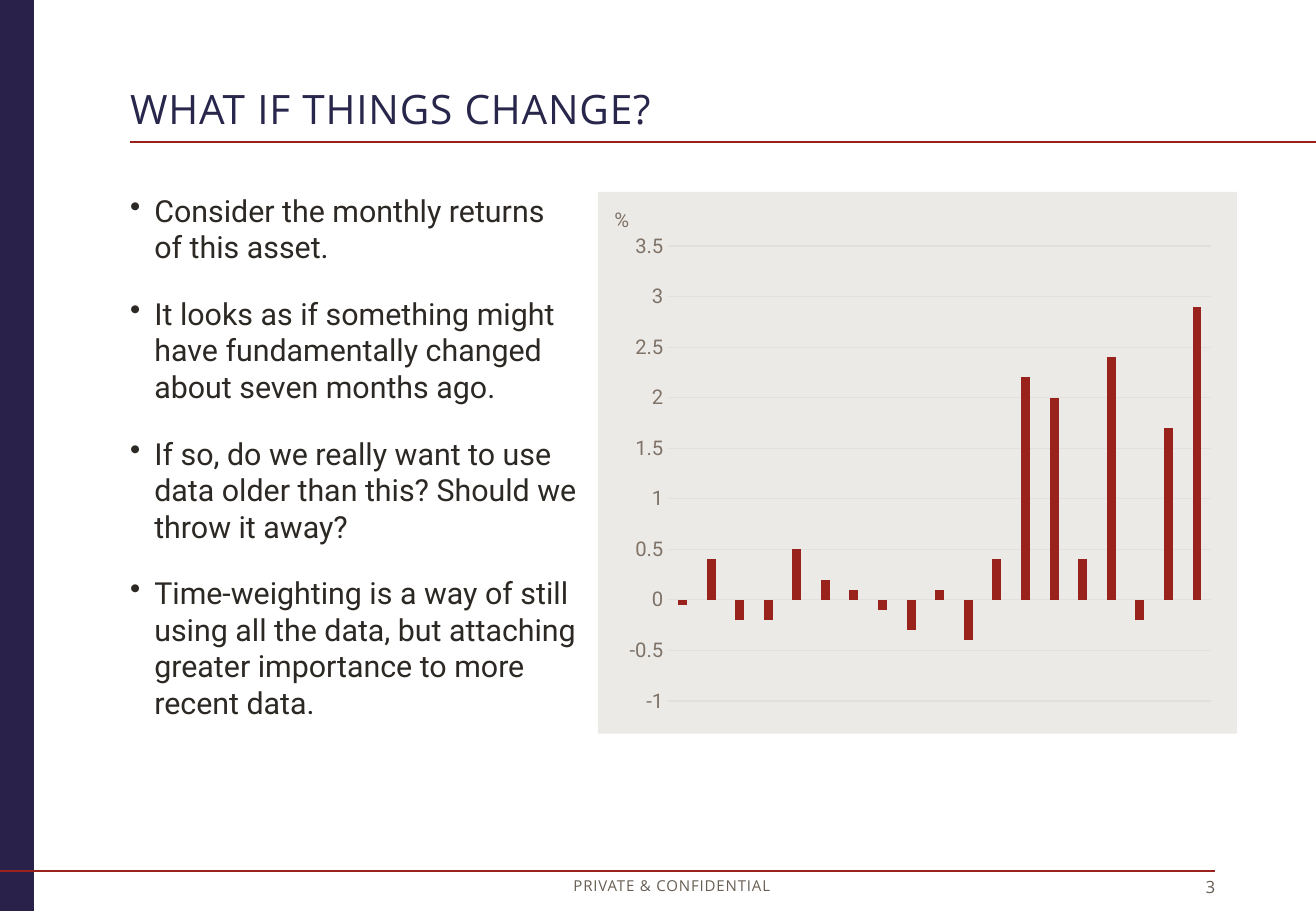
import pptx
import pptx.chart.data
import pptx.dml.color
import pptx.enum.chart
import pptx.enum.shapes
import pptx.enum.text
import pptx.oxml
import pptx.oxml.ns
import pptx.util
from pptx.util import Inches

NAVY, TITLE_NAVY, RED = "29214A", "28264B", "9A221D"
INK, FOOTER_GREY, AXIS_GREY = "2C2824", "675E54", "7F7368"
PANEL, GRID = "ECEAE7", "E2DFDC"
HEADING_FONT, BODY_FONT = "Open Sans", "Roboto"
ALIGN = pptx.enum.text.PP_ALIGN

POINTS = [
    "Consider the monthly returns of this asset.",
    "It looks as if something might have fundamentally changed about seven months ago.",
    "If so, do we really want to use data older than this? Should we throw it away?",
    "Time-weighting is a way of still using all the data, but attaching greater "
    "importance to more recent data.",
]
MONTHLY_RETURNS = [-0.05, 0.4, -0.2, -0.2, 0.5, 0.2, 0.1, -0.1, -0.3, 0.1,
                   -0.4, 0.4, 2.2, 2, 0.4, 2.4, -0.2, 1.7, 2.9]


def rgb(color):
    return pptx.dml.color.RGBColor.from_string(color)


def xml(tag, content=""):
    return pptx.oxml.parse_xml(
        f"<{tag} {pptx.oxml.ns.nsdecls('a', 'c')}>{content}</{tag}>")


def style_font(font, size, name, color):
    font.size = pptx.util.Pt(size)
    font.name = name
    font.bold = False
    font.color.rgb = rgb(color)


def style_paragraph(paragraph, size, name, color, align=ALIGN.LEFT, tracking=0):
    paragraph.alignment = align
    for run in paragraph.runs:
        style_font(run.font, size, name, color)
        if tracking:
            run.font._element.set("spc", str(int(tracking * 100)))


def clear_frame(frame):
    frame.margin_left = frame.margin_right = 0
    frame.margin_top = frame.margin_bottom = 0
    frame.word_wrap = True


def add_text_frame(slide, left, top, width, height):
    box = slide.shapes.add_textbox(Inches(left), Inches(top), Inches(width), Inches(height))
    clear_frame(box.text_frame)
    return box.text_frame


def add_footer_text(slide, text, left, width, size, align, tracking=0):
    frame = add_text_frame(slide, left, 7.22, width, 0.17)
    frame.text = text
    style_paragraph(frame.paragraphs[0], size, HEADING_FONT, FOOTER_GREY, align, tracking)


def add_rule(slide, left, right, y, weight):
    rule = slide.shapes.add_connector(
        pptx.enum.shapes.MSO_CONNECTOR.STRAIGHT,
        Inches(left), Inches(y), Inches(right), Inches(y))
    rule.line.color.rgb = rgb(RED)
    rule.line.width = pptx.util.Pt(weight)
    rule._element.spPr.append(xml("a:effectLst"))


def add_side_band(slide):
    band = slide.shapes.add_shape(
        pptx.enum.shapes.MSO_SHAPE.RECTANGLE, 0, 0, Inches(0.28), Inches(7.5))
    band.shadow.inherit = False
    band.fill.solid()
    band.fill.fore_color.rgb = rgb(NAVY)
    band.line.fill.background()


def format_title(slide, text):
    title = slide.shapes.title
    title.left, title.top = Inches(1.07), Inches(0.73)
    title.width, title.height = Inches(6.91), Inches(0.37)
    frame = title.text_frame
    clear_frame(frame)
    frame.vertical_anchor = pptx.enum.text.MSO_ANCHOR.BOTTOM
    frame.text = text
    frame.paragraphs[0].line_spacing = 0.9
    style_paragraph(frame.paragraphs[0], 24, HEADING_FONT, TITLE_NAVY, tracking=0.5)


def add_bullets(slide, points):
    frame = add_text_frame(slide, 1.07, 1.58, 3.69, 4.46)
    for index, point in enumerate(points):
        paragraph = frame.add_paragraph() if index else frame.paragraphs[0]
        paragraph.text = point
        paragraph.space_after = pptx.util.Pt(18)
        style_paragraph(paragraph, 18, BODY_FONT, INK)
        properties = paragraph._p.get_or_add_pPr()
        properties.set("marL", str(Inches(0.2)))
        properties.set("indent", str(-Inches(0.2)))
        bullet = xml("a:buChar")
        bullet.set("char", "•")
        properties.append(bullet)


def set_layout(parent, index, target="", **fractions):
    """Place a chart part by fractions of the chart's size."""
    for old in parent.findall(pptx.oxml.ns.qn("c:layout")):
        parent.remove(old)
    modes = '<c:xMode val="edge"/><c:yMode val="edge"/>'
    sizes = "".join(f'<c:{key} val="{value}"/>' for key, value in fractions.items())
    parent.insert(index, xml(
        "c:layout", f"<c:manualLayout>{target}{modes}{sizes}</c:manualLayout>"))


def panel_fill():
    return xml("c:spPr", f'<a:solidFill><a:srgbClr val="{PANEL}"/></a:solidFill>'
                         "<a:ln><a:noFill/></a:ln>")


def format_value_axis(axis):
    axis.minimum_scale, axis.maximum_scale, axis.major_unit = -1, 3.5, 0.5
    axis.major_tick_mark = pptx.enum.chart.XL_TICK_MARK.NONE
    axis.minor_tick_mark = pptx.enum.chart.XL_TICK_MARK.NONE
    axis.format.line.fill.background()
    axis.major_gridlines.format.line.color.rgb = rgb(GRID)
    axis.major_gridlines.format.line.width = pptx.util.Pt(0.75)
    style_font(axis.tick_labels.font, 12, BODY_FONT, AXIS_GREY)
    # Unit label, upright in the top left corner
    unit = axis.axis_title
    unit.text_frame.text = "%"
    unit.text_frame._txBody.bodyPr.set("rot", "0")
    style_paragraph(unit.text_frame.paragraphs[0], 12, BODY_FONT, AXIS_GREY)
    set_layout(unit._element, 1, x=0.02, y=0.02)


def add_returns_chart(slide):
    returns = pptx.chart.data.CategoryChartData()
    returns.categories = [str(month + 1) for month in range(len(MONTHLY_RETURNS))]
    returns.add_series("Series 1", MONTHLY_RETURNS)
    chart = slide.shapes.add_chart(
        pptx.enum.chart.XL_CHART_TYPE.COLUMN_CLUSTERED,
        Inches(4.92), Inches(1.58), Inches(5.26), Inches(4.46), returns).chart
    chart.has_legend = chart.has_title = False
    style_font(chart.font, 10, BODY_FONT, INK)
    chart.category_axis.visible = False
    format_value_axis(chart.value_axis)
    # Bars
    bars = chart.plots[0]
    bars.vary_by_categories = False
    bars.gap_width, bars.overlap = 219, -27
    bars.series[0].invert_if_negative = False
    bars.series[0].format.fill.solid()
    bars.series[0].format.fill.fore_color.rgb = rgb(RED)
    # Panel and plot area
    chart_element = chart._chartSpace.chart
    chart_element.addnext(panel_fill())
    set_layout(chart_element.plotArea, 0, '<c:layoutTarget val="inner"/>',
               x=0.11, y=0.1, w=0.85, h=0.84)
    chart_element.plotArea.append(panel_fill())


def main():
    deck = pptx.Presentation()
    deck.slide_width, deck.slide_height = Inches(10.83), Inches(7.5)
    slide = deck.slides.add_slide(deck.slide_layouts[5])
    # Frame and footer
    add_side_band(slide)
    add_footer_text(slide, "3", 9.44, 0.56, 10, ALIGN.RIGHT)
    add_footer_text(slide, "PRIVATE & CONFIDENTIAL", 4.38, 2.3, 8.9, ALIGN.CENTER, 0.5)
    add_rule(slide, 0, 10, 7.17, 1)
    add_rule(slide, 1.07, 10.83, 1.17, 1.5)
    # Content
    format_title(slide, "WHAT IF THINGS CHANGE?")
    add_bullets(slide, POINTS)
    add_returns_chart(slide)
    deck.save("out.pptx")


if __name__ == "__main__":
    main()
